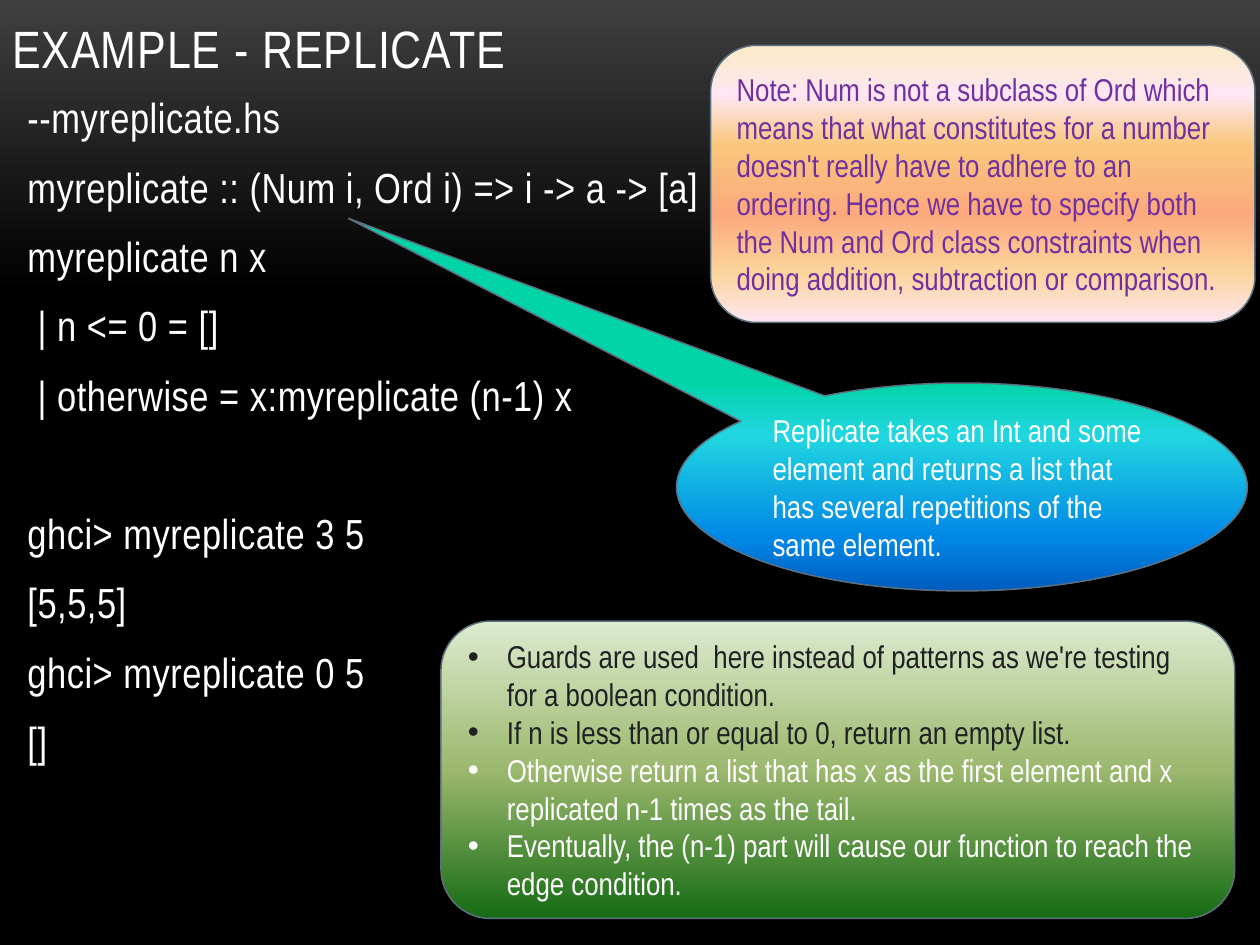
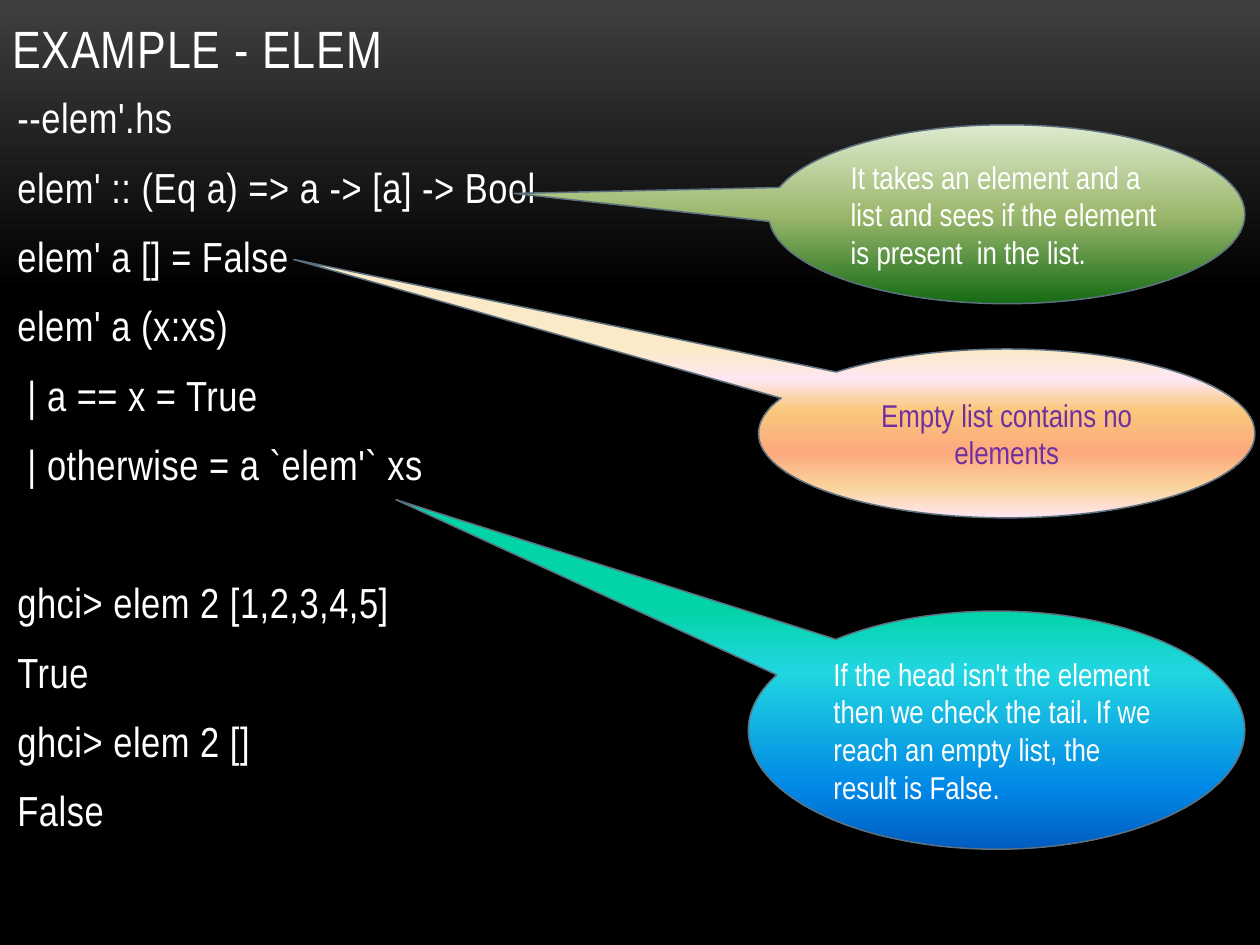
from lxml import etree
from pptx import Presentation
from pptx.dml.color import RGBColor
from pptx.enum import shapes, text
from pptx.oxml import ns
from pptx.util import Inches, Pt

FONT = "Arial Narrow"
WHITE = RGBColor(0xFF, 0xFF, 0xFF)
CHARCOAL = RGBColor(0x1F, 0x21, 0x23)
PURPLE = RGBColor(0x70, 0x30, 0xA0)
OUTLINE = RGBColor(0x5D, 0x70, 0x80)


def stops(*pairs):
    return [(percent, RGBColor.from_string(colour)) for percent, colour in pairs]


NIGHT = stops((0, "3F3F3F"), (31, "000000"), (100, "000000"))
OCEAN = stops((0, "03D4A8"), (25, "21D6E0"), (75, "0087E6"), (100, "005CBF"))
MEADOW = stops((0, "DDEBCF"), (50, "9CB86E"), (100, "156B13"))
PEACH = stops((0, "FBEAC7"), (18, "FEE7F2"), (36, "FAC77D"),
              (61, "FBA97D"), (82, "FBD49C"), (100, "FEE7F2"))

CODE_SIZE = 24
CODE_BEFORE = 0.2 * CODE_SIZE
CODE_AFTER = 6
CODE_PITCH = 1.2 * CODE_SIZE + CODE_BEFORE + CODE_AFTER

CALLOUT = shapes.MSO_SHAPE.OVAL_CALLOUT
PANEL = shapes.MSO_SHAPE.FLOWCHART_ALTERNATE_PROCESS


def fill_gradient(fill, element, colour_stops):
    fill.gradient()
    fill.gradient_angle = 270
    stop_list = element.find(".//" + ns.qn("a:gsLst"))
    for stop in list(stop_list):
        stop_list.remove(stop)
    for percent, colour in colour_stops:
        stop = etree.SubElement(stop_list, ns.qn("a:gs"), pos=str(percent * 1000))
        etree.SubElement(stop, ns.qn("a:srgbClr"), val=str(colour))


def add_span(para, words, size, colour, spacing=0):
    span = para.add_run()
    span.text = words
    span.font.name = FONT
    span.font.size = Pt(size)
    span.font.color.rgb = colour
    if spacing:
        span.font._element.set("spc", str(round(spacing * 100)))


def next_paragraph(frame, index):
    return frame.add_paragraph() if index else frame.paragraphs[0]


def add_text_box(page, left, top, width, height):
    box = page.shapes.add_textbox(Inches(left), Inches(top), Inches(width), Inches(height))
    box.text_frame.word_wrap = True
    return box.text_frame


def add_page(deck, title):
    page = deck.slides.add_slide(deck.slide_layouts[6])
    fill_gradient(page.background.fill, page.element, NIGHT)
    frame = add_text_box(page, 0, 0, 8.6, 0.68)
    frame.vertical_anchor = text.MSO_ANCHOR.BOTTOM
    add_span(frame.paragraphs[0], title, 30, WHITE, 0.5)
    return page


def add_code(page, left, definition, session):
    frame = add_text_box(page, left, 0.68, 9.8, 6.69)
    for index, line in enumerate(definition + session):
        para = next_paragraph(frame, index)
        gap = CODE_PITCH if index == len(definition) else 0
        para.space_before = Pt(CODE_BEFORE + gap)
        para.space_after = Pt(CODE_AFTER)
        add_span(para, line, CODE_SIZE, WHITE, 0.3)


def add_bullet(para):
    properties = para._p.get_or_add_pPr()
    properties.set("marL", str(Inches(0.31)))
    properties.set("indent", str(-Inches(0.31)))
    etree.SubElement(properties, ns.qn("a:buFont"), typeface="Arial")
    etree.SubElement(properties, ns.qn("a:buChar"), char="•")


def add_note(page, kind, place, colour_stops, lines, pointer=(),
             align=text.PP_ALIGN.LEFT, bulleted=False):
    note = page.shapes.add_shape(kind, *map(Inches, place))
    for index, offset in enumerate(pointer):
        note.adjustments[index] = offset
    note.shadow.inherit = False
    fill_gradient(note.fill, note.element, colour_stops)
    note.line.color.rgb = OUTLINE
    note.line.width = Pt(0.85)
    frame = note.text_frame
    frame.word_wrap = True
    frame.vertical_anchor = text.MSO_ANCHOR.MIDDLE
    for index, (words, colour) in enumerate(lines):
        para = next_paragraph(frame, index)
        para.alignment = align
        if bulleted:
            add_bullet(para)
        add_span(para, words, 18, colour)


def build_replicate(deck):
    page = add_page(deck, "EXAMPLE - REPLICATE")
    add_code(page, 0.12, [
        "--myreplicate.hs",
        "myreplicate :: (Num i, Ord i) => i -> a -> [a]",
        "myreplicate n x",
        " | n <= 0 = []",
        " | otherwise = x:myreplicate (n-1) x",
    ], ["ghci> myreplicate 3 5", "[5,5,5]", "ghci> myreplicate 0 5", "[]"])
    add_note(page, CALLOUT, (5.37, 3.04, 4.53, 1.65), OCEAN, [
        ("Replicate takes an Int and some element and returns a list that has "
         "several repetitions of the same element.", WHITE),
    ], pointer=(-1.075, -1.292))
    add_note(page, PANEL, (3.5, 4.93, 6.3, 2.36), MEADOW, [
        ("Guards are used  here instead of patterns as we're testing for a "
         "boolean condition.", CHARCOAL),
        ("If n is less than or equal to 0, return an empty list.", CHARCOAL),
        ("Otherwise return a list that has x as the first element and x "
         "replicated n-1 times as the tail.", WHITE),
        ("Eventually, the (n-1) part will cause our function to reach the "
         "edge condition.", WHITE),
    ], bulleted=True)
    add_note(page, PANEL, (5.64, 0.36, 4.32, 2.2), PEACH, [
        ("Note: Num is not a subclass of Ord which means that what constitutes "
         "for a number doesn't really have to adhere to an ordering. Hence we "
         "have to specify both the Num and Ord class constraints when doing "
         "addition, subtraction or comparison.", PURPLE),
    ])


def build_elem(deck):
    page = add_page(deck, "EXAMPLE - ELEM")
    add_code(page, 0.04, [
        "--elem'.hs",
        "elem' :: (Eq a) => a -> [a] -> Bool",
        "elem' a [] = False",
        "elem' a (x:xs)",
        " | a == x = True",
        " | otherwise = a `elem'` xs",
    ], ["ghci> elem 2 [1,2,3,4,5]", "True", "ghci> elem 2 []", "False"])
    add_note(page, CALLOUT, (6.1, 0.99, 3.78, 1.42), MEADOW, [
        ("It takes an element and a list and sees if the element is present  in "
         "the list.", WHITE),
    ], pointer=(-1.034, -0.116))
    add_note(page, CALLOUT, (6.02, 2.77, 3.94, 1.34), PEACH, [
        ("Empty list contains no elements", PURPLE),
    ], pointer=(-1.436, -1.03), align=text.PP_ALIGN.CENTER)
    add_note(page, CALLOUT, (5.94, 4.85, 3.94, 1.89), OCEAN, [
        ("If the head isn't the element then we check the tail. If we reach an "
         "empty list, the result is False.", WHITE),
    ], pointer=(-1.21, -0.968))


def main():
    deck = Presentation()
    deck.slide_width = Inches(10)
    deck.slide_height = Inches(7.5)
    build_replicate(deck)
    build_elem(deck)
    deck.save("out.pptx")


if __name__ == "__main__":
    main()
